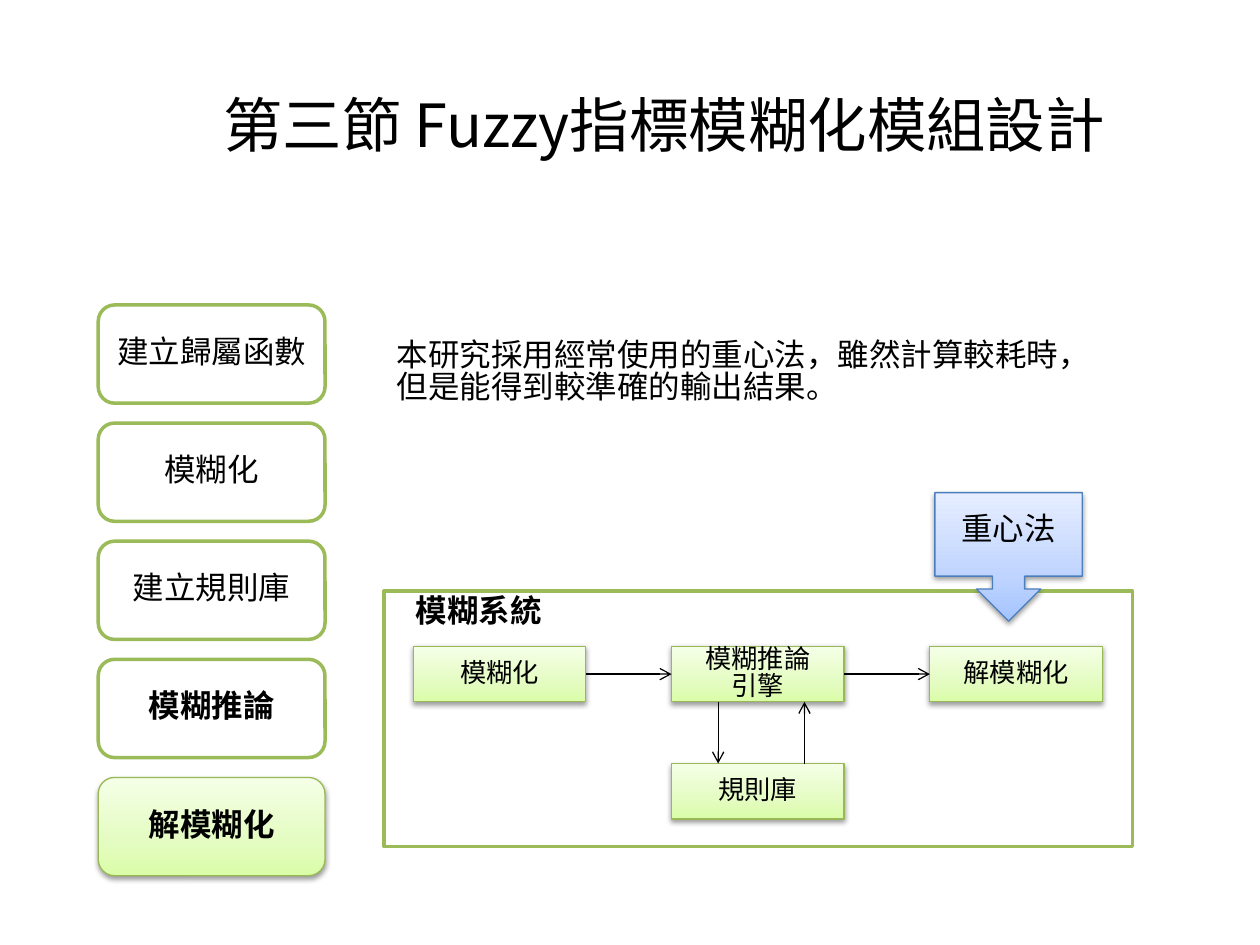
from lxml import etree
from pptx import Presentation
from pptx.dml.color import RGBColor
from pptx.enum.shapes import MSO_CONNECTOR, MSO_SHAPE
from pptx.enum.text import MSO_ANCHOR, PP_ALIGN
from pptx.oxml.ns import qn
from pptx.util import Inches, Pt

RECT, ROUND = MSO_SHAPE.RECTANGLE, MSO_SHAPE.ROUNDED_RECTANGLE
CALLOUT = MSO_SHAPE.DOWN_ARROW_CALLOUT
LEFT, CENTER = PP_ALIGN.LEFT, PP_ALIGN.CENTER
TOP, MIDDLE = MSO_ANCHOR.TOP, MSO_ANCHOR.MIDDLE
STRAIGHT = MSO_CONNECTOR.STRAIGHT

THEME = {
    "font": "Noto Sans CJK SC", "ink": "000000", "leading": 0.84,
    "title": 34, "body": 18, "node": 15,
    "plain": {"fill": "FFFFFF", "line": "9BBB59", "width": 2},
    "green": {"fill": [(0, "DAFDA7"), (35, "E4FCC2"), (100, "F5FFE7")],
              "line": "98B955", "width": 0.75},
    "blue": {"fill": [(0, "A4C4FF"), (35, "BFD4FF"), (100, "E6EEFF")],
             "line": "4B7EBC", "width": 0.75},
}

TITLE = "第三節 Fuzzy指標模糊化模組設計"
BODY = ["本研究採用經常使用的重心法，雖然計算較耗時，", "但是能得到較準確的輸出結果。"]
# label, bold, look
STEPS = [("建立歸屬函數", False, "plain"), ("模糊化", False, "plain"),
         ("建立規則庫", False, "plain"), ("模糊推論", True, "plain"),
         ("解模糊化", True, "green")]
# name: (column, row, lines)
NODES = {"input": (0, 0, ["模糊化"]), "engine": (1, 0, ["模糊推論", "引擎"]),
         "output": (2, 0, ["解模糊化"]), "rules": (1, 1, ["規則庫"])}
FLOWS = [("input", "engine"), ("engine", "output")]
SYSTEM, METHOD = "模糊系統", "重心法"

STEP_BOX, STEP_GAP = (0.78, 2.42, 1.8, 0.78), 3.75 / 4
NODE_BOX, COL, ROW = (3.28, 5.13, 1.37, 0.44), 2.05, 0.93

deck = Presentation()
deck.slide_width, deck.slide_height = Inches(10), Inches(7.5)
slide = deck.slides.add_slide(deck.slide_layouts[6])
shapes = slide.shapes


def inches(box):
    return [Inches(v) for v in box]


def rgb(code):
    return RGBColor.from_string(code)


def write(shape, lines, size, bold=False, align=CENTER, anchor=MIDDLE, wrap=True):
    frame = shape.text_frame
    frame.word_wrap, frame.vertical_anchor = wrap, anchor
    for i, line in enumerate(lines):
        para = frame.add_paragraph() if i else frame.paragraphs[0]
        para.alignment, para.line_spacing = align, THEME["leading"]
        run = para.add_run()
        run.text = line
        font = run.font
        font.size, font.bold, font.name = Pt(size), bold, THEME["font"]
        font.color.rgb = rgb(THEME["ink"])
        east = etree.SubElement(run._r.get_or_add_rPr(), qn("a:ea"))
        east.set("typeface", THEME["font"])
    return frame


def label(box, lines, **style):
    return write(shapes.add_textbox(*inches(box)), lines, **style)


def color(parent, code):
    node = etree.SubElement(parent, qn("a:srgbClr"))
    node.set("val", code)
    return node


def blend(shape, stops):
    """Fill upwards with a gradient and cast a soft shadow below."""
    shape.fill.gradient()
    props = shape._element.spPr
    grad = props.find(qn("a:gradFill"))
    for child in list(grad):
        grad.remove(child)
    items = etree.SubElement(grad, qn("a:gsLst"))
    for pos, code in stops:
        stop = etree.SubElement(items, qn("a:gs"))
        stop.set("pos", str(pos * 1000))
        color(stop, code)
    etree.SubElement(grad, qn("a:lin")).set("ang", str(270 * 60000))
    shade = etree.SubElement(props.find(qn("a:effectLst")), qn("a:outerShdw"))
    for key, val in (("blurRad", Pt(3.1)), ("dist", Pt(1.6)), ("dir", 90 * 60000),
                     ("rotWithShape", 0)):
        shade.set(key, str(int(val)))
    alpha = etree.SubElement(color(shade, THEME["ink"]), qn("a:alpha"))
    alpha.set("val", "38000")


def block(kind, box, look):
    shape = shapes.add_shape(kind, *inches(box))
    style = THEME[look]
    shape.line.color.rgb = rgb(style["line"])
    shape.line.width = Pt(style["width"])
    shape.shadow.inherit = False
    if isinstance(style["fill"], str):
        shape.fill.solid()
        shape.fill.fore_color.rgb = rgb(style["fill"])
    else:
        blend(shape, style["fill"])
    frame = shape.text_frame
    frame.margin_left = frame.margin_right = 0
    return shape


def arrow(x1, y1, x2, y2):
    line = shapes.add_connector(STRAIGHT, x1, y1, x2, y2)
    line.line.color.rgb, line.line.width = rgb(THEME["ink"]), Pt(0.75)
    props = line._element.spPr
    etree.SubElement(props.find(qn("a:ln")), qn("a:tailEnd")).set("type", "arrow")
    etree.SubElement(props, qn("a:effectLst"))
    return line


title = label((0.5, 0.4, 9, 1.25), [TITLE], size=THEME["title"])
title.margin_left = Inches(0.64)

x, y, w, h = STEP_BOX
for i, (text, bold, look) in enumerate(STEPS):
    step = block(ROUND, (x, y + i * STEP_GAP, w, h), look)
    write(step, [text], THEME["body"], bold)

note = {"size": THEME["body"], "align": LEFT, "anchor": TOP, "wrap": False}
label((3.05, 2.66, 5.76, 0.71), BODY, **note)

block(RECT, (3.05, 4.69, 5.94, 2.03), "plain")
x, y, w, h = NODE_BOX
nodes = {}
for name, (col, row, lines) in NODES.items():
    node = block(RECT, (x + col * COL, y + row * ROW, w, h), "green")
    write(node, lines, THEME["node"])
    nodes[name] = node

for start, end in FLOWS:
    flow = arrow(0, 0, 0, 0)
    flow.begin_connect(nodes[start], 3)
    flow.end_connect(nodes[end], 1)

engine, rules = nodes["engine"], nodes["rules"]
low, high = engine.top + engine.height, rules.top
down, up = (engine.left + int(engine.width * share) for share in (0.27, 0.77))
arrow(down, low, down, high)
arrow(up, high, up, low)

label((3.2, 4.69, 1.21, 0.4), [SYSTEM], bold=True, **note)
block(CALLOUT, (7.42, 3.91, 1.17, 1.02), "blue")
label((7.53, 4.04, 0.96, 0.4), [METHOD], **note)

deck.save("out.pptx")
